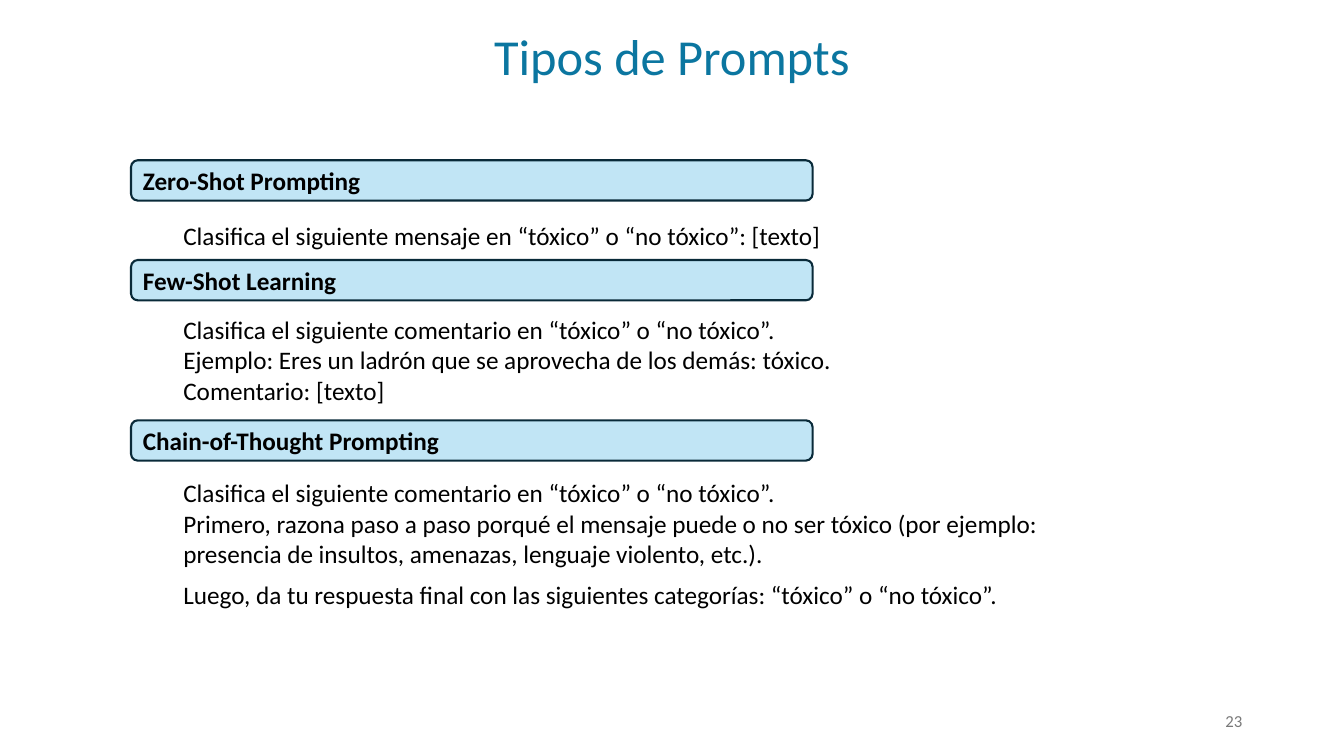
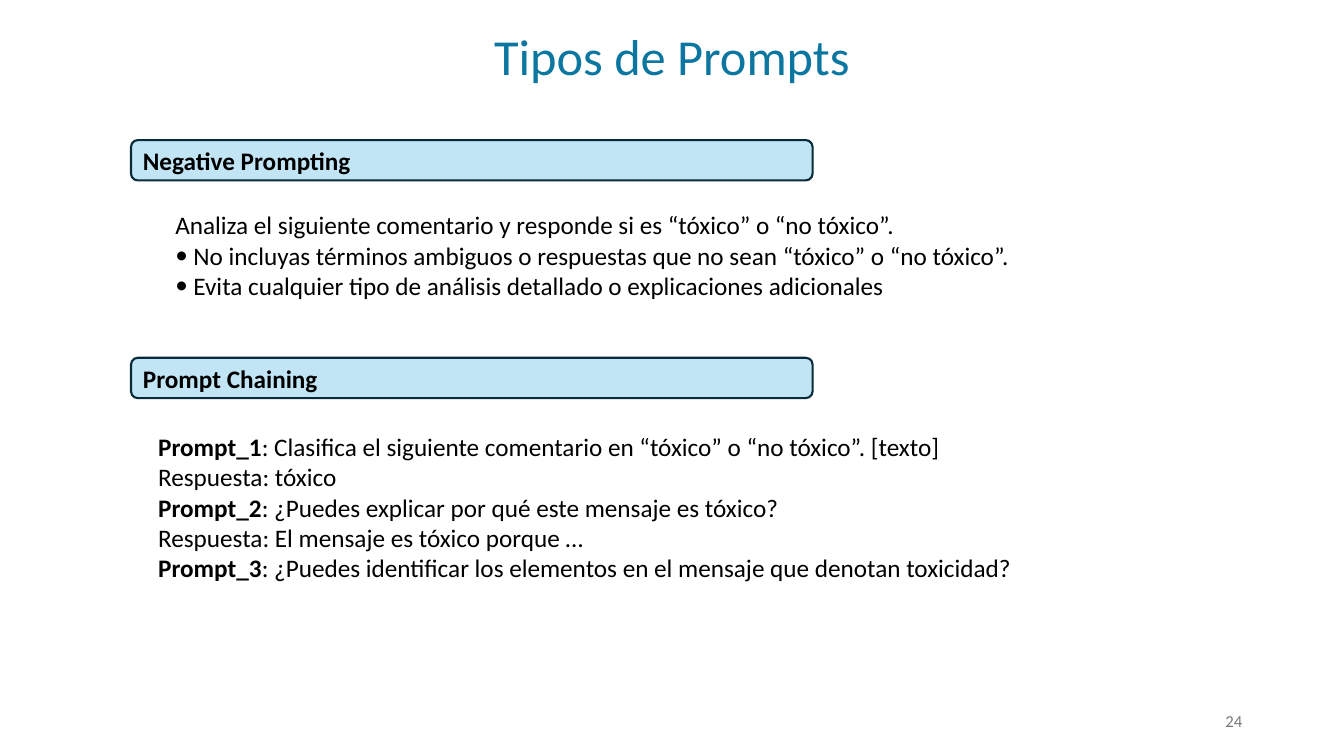
"""Build two slides on prompt types, with headed example prompts."""
from dataclasses import dataclass

import pptx
import pptx.dml.color
import pptx.enum.shapes
import pptx.enum.text
import pptx.util
from lxml import etree

Inches = pptx.util.Inches
Pt = pptx.util.Pt
Align = pptx.enum.text.PP_ALIGN
Anchor = pptx.enum.text.MSO_ANCHOR


@dataclass(frozen=True)
class Theme:
    font: str = "Calibri"
    title_color: str = "0B76A0"
    text_color: str = "000000"
    number_color: str = "797979"
    band_fill: str = "C1E5F5"
    band_line: str = "092A39"
    title_size: int = 36
    body_size: int = 18
    number_size: int = 12


@dataclass(frozen=True)
class Line:
    text: str
    label: str = ""
    after: int = 0
    bullet: bool = False


THEME = Theme()
TITLE = "Tipos de Prompts"
FIRST_NUMBER = 23
BAND_LEFT, BAND_WIDTH, BAND_HEIGHT = 1.3, 6.76, 0.4
BULLET_INDENT = 0.18

SLIDES = [
    [
        {"heading": "Zero-Shot Prompting", "top": 1.59, "box": (1.72, 2.14, 9.16, 0.4),
         "lines": [Line("Clasifica el siguiente mensaje en “tóxico” o “no tóxico”: [texto]")]},
        {"heading": "Few-Shot Learning", "top": 2.58, "box": (1.72, 3.07, 9.16, 1.01),
         "lines": [
             Line("Clasifica el siguiente comentario en “tóxico” o “no tóxico”."),
             Line("Ejemplo: Eres un ladrón que se aprovecha de los demás: tóxico."),
             Line("Comentario: [texto]")]},
        {"heading": "Chain-of-Thought Prompting", "top": 4.17, "box": (1.72, 4.69, 9.16, 1.42),
         "lines": [
             Line("Clasifica el siguiente comentario en “tóxico” o “no tóxico”."),
             Line("Primero, razona paso a paso porqué el mensaje puede o no ser tóxico "
                  "(por ejemplo: presencia de insultos, amenazas, lenguaje violento, etc.).", after=8),
             Line("Luego, da tu respuesta final con las siguientes categorías: "
                  "“tóxico” o “no tóxico”.", after=8)]},
    ],
    [
        {"heading": "Negative Prompting", "top": 1.39, "box": (1.64, 2.03, 9.79, 1.01),
         "lines": [
             Line("Analiza el siguiente comentario y responde si es “tóxico” o “no tóxico”."),
             Line("No incluyas términos ambiguos o respuestas que no sean “tóxico” o “no tóxico”.",
                  bullet=True),
             Line("Evita cualquier tipo de análisis detallado o explicaciones adicionales",
                  bullet=True)]},
        {"heading": "Prompt Chaining", "top": 3.55, "box": (1.47, 4.23, 8.69, 1.62),
         "lines": [
             Line(": Clasifica el siguiente comentario en “tóxico” o “no tóxico”. [texto]", "Prompt_1"),
             Line("Respuesta: tóxico"),
             Line(": ¿Puedes explicar por qué este mensaje es tóxico?", "Prompt_2"),
             Line("Respuesta: El mensaje es tóxico porque …"),
             Line(": ¿Puedes identificar los elementos en el mensaje que denotan toxicidad?",
                  "Prompt_3")]},
    ],
]


def rgb(value):
    return pptx.dml.color.RGBColor.from_string(value)


def add_run(paragraph, text, size=THEME.body_size, color=THEME.text_color, bold=False):
    run = paragraph.add_run()
    run.text = text
    run.font.name = THEME.font
    run.font.size = Pt(size)
    run.font.color.rgb = rgb(color)
    run.font.bold = bold


def add_text_frame(slide, box, anchor=Anchor.TOP):
    frame = slide.shapes.add_textbox(*map(Inches, box)).text_frame
    frame.word_wrap = True
    frame.vertical_anchor = anchor
    return frame


def set_bullet(paragraph):
    properties = paragraph._p.get_or_add_pPr()
    properties.set("marL", str(Inches(BULLET_INDENT)))
    properties.set("indent", str(-Inches(BULLET_INDENT)))
    for tag, key, value in (("buFont", "typeface", THEME.font), ("buChar", "char", "•")):
        etree.SubElement(properties, pptx.oxml.ns.qn(f"a:{tag}")).set(key, value)


def add_title(slide):
    title = add_text_frame(slide, (0, 0.27, 13.33, 0.65)).paragraphs[0]
    title.alignment = Align.CENTER
    title.line_spacing = 0.9
    title.space_after = Pt(6)
    add_run(title, TITLE, THEME.title_size, THEME.title_color)


def add_number(slide, number):
    paragraph = add_text_frame(slide, (9.42, 6.95, 3, 0.4), Anchor.MIDDLE).paragraphs[0]
    paragraph.alignment = Align.RIGHT
    add_run(paragraph, str(number), THEME.number_size, THEME.number_color)


def add_band(slide, heading, top):
    band = slide.shapes.add_shape(
        pptx.enum.shapes.MSO_SHAPE.ROUNDED_RECTANGLE,
        *map(Inches, (BAND_LEFT, top, BAND_WIDTH, BAND_HEIGHT)))
    band.shadow.inherit = False
    band.fill.solid()
    band.fill.fore_color.rgb = rgb(THEME.band_fill)
    band.line.color.rgb = rgb(THEME.band_line)
    band.line.width = Pt(1.5)
    band.text_frame.vertical_anchor = Anchor.MIDDLE
    paragraph = band.text_frame.paragraphs[0]
    paragraph.alignment = Align.LEFT
    add_run(paragraph, heading, bold=True)


def add_example(slide, box, lines):
    frame = add_text_frame(slide, box)
    for index, line in enumerate(lines):
        paragraph = frame.add_paragraph() if index else frame.paragraphs[0]
        paragraph.space_after = Pt(line.after)
        if line.bullet:
            set_bullet(paragraph)
        if line.label:
            add_run(paragraph, line.label, bold=True)
        add_run(paragraph, line.text)


def main():
    deck = pptx.Presentation()
    deck.slide_width, deck.slide_height = Inches(13.33), Inches(7.5)
    for number, sections in enumerate(SLIDES, FIRST_NUMBER):
        slide = deck.slides.add_slide(deck.slide_layouts[6])
        add_title(slide)
        add_number(slide, number)
        for section in sections:
            add_band(slide, section["heading"], section["top"])
            add_example(slide, section["box"], section["lines"])
    deck.save("out.pptx")


if __name__ == "__main__":
    main()
